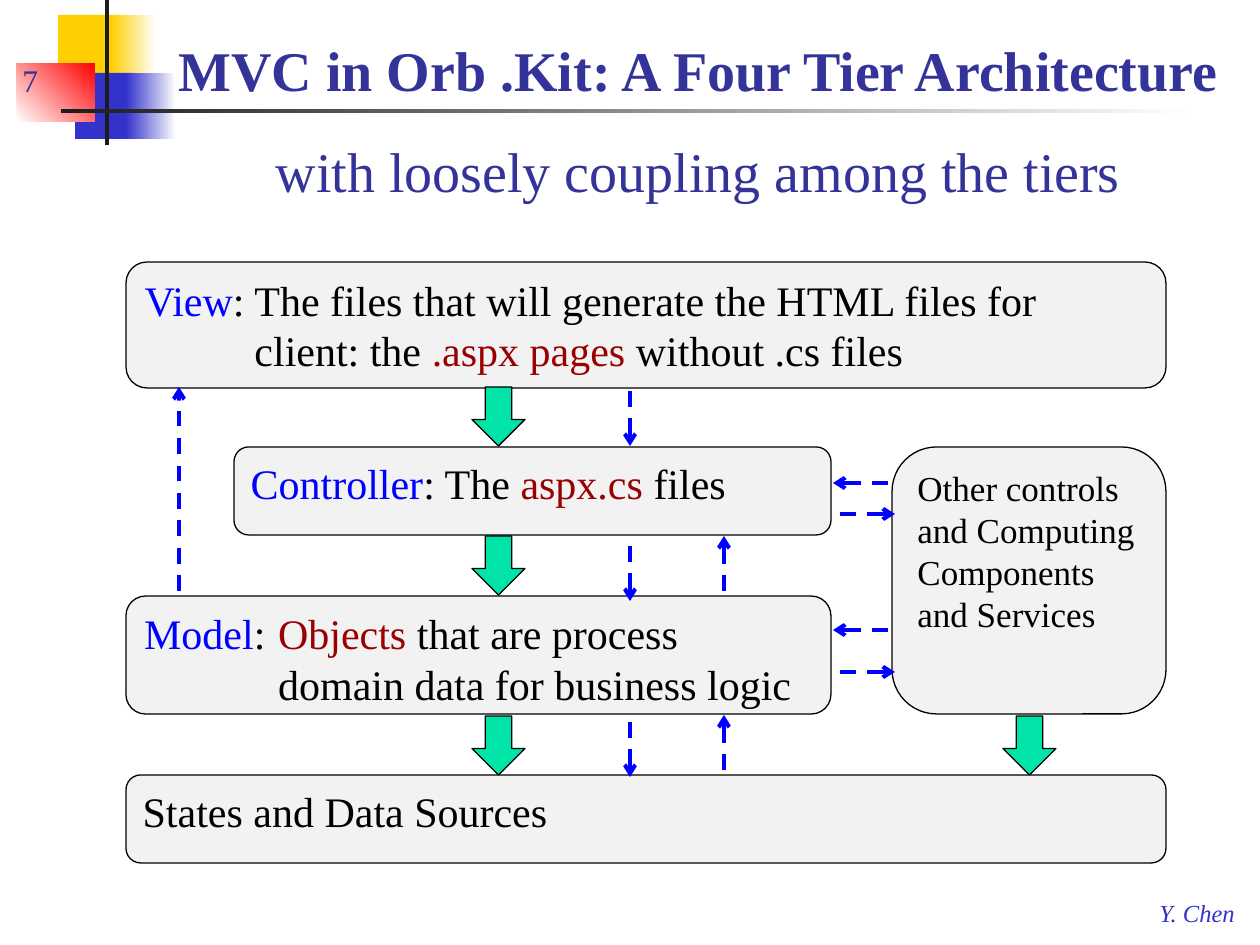
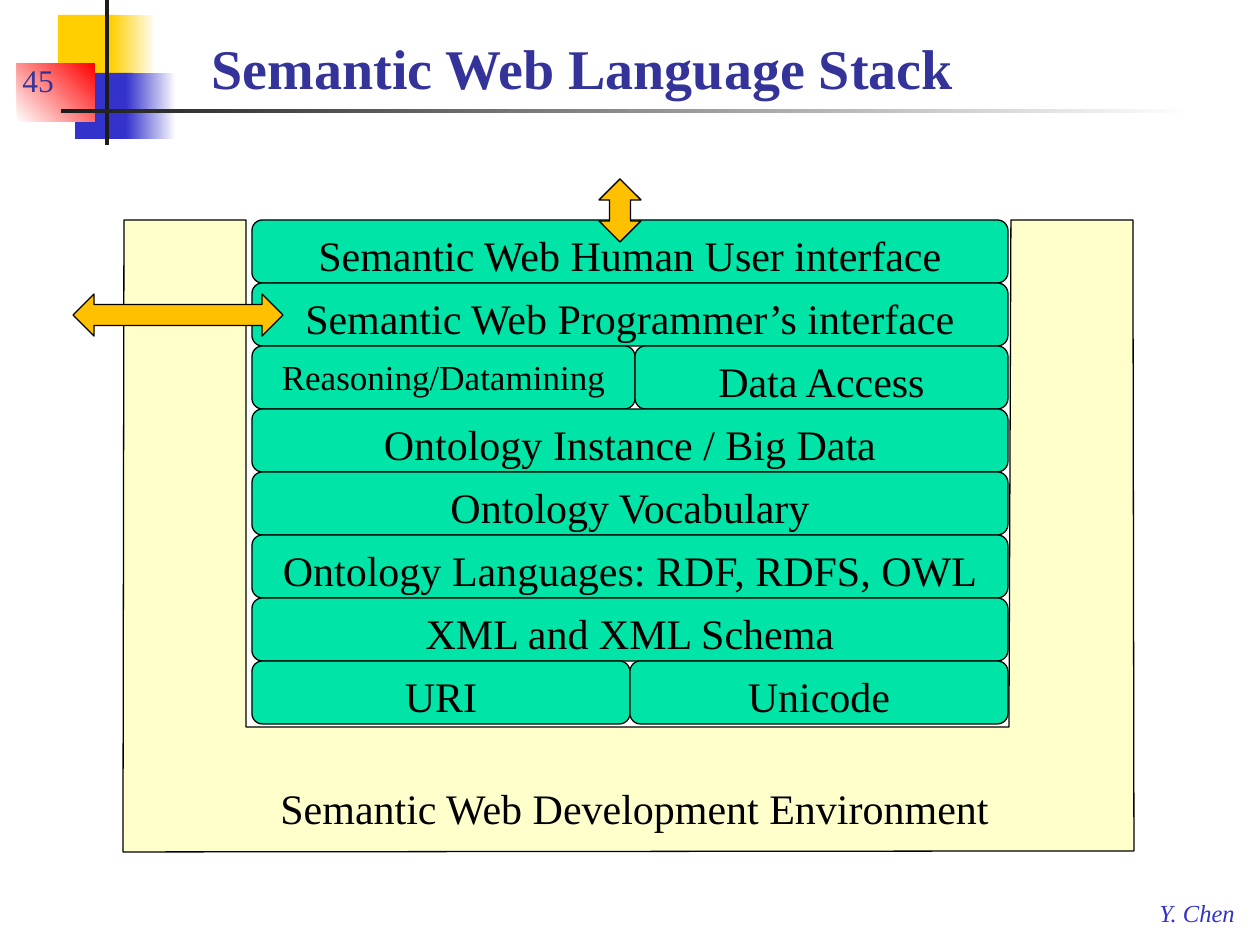
import pptx
import pptx.util
import pptx.dml.color
import pptx.enum.dml
import pptx.enum.shapes
import pptx.enum.text
import pptx.oxml
from dataclasses import dataclass
from lxml import etree

PX = 914400 / 126
SHAPE = pptx.enum.shapes.MSO_SHAPE
ALIGN = pptx.enum.text.PP_ALIGN
ANCHOR = pptx.enum.text.MSO_ANCHOR


@dataclass(frozen=True)
class Theme:
    font: str = "Times New Roman"
    title: str = "333399"
    blue: str = "3333CC"
    yellow: str = "FFCF01"
    red: str = "FF0000"
    white: str = "FFFFFF"
    ink: str = "1C1C1C"
    black: str = "000000"
    term: str = "0000FF"
    accent: str = "990000"
    tier: str = "F2F2F2"
    green: str = "00E4A8"
    cream: str = "FFFFCC"
    orange: str = "FFC000"
    title_size: int = 32
    body_size: int = 24
    small_size: int = 20
    number_size: int = 18
    footer_size: int = 14


THEME = Theme()


def px(value):
    return pptx.util.Emu(round(value * PX))


def box(*lengths):
    return [px(length) for length in lengths]


def rgb(code):
    return pptx.dml.color.RGBColor.from_string(code)


def add_run(paragraph, text, color=THEME.black, size=THEME.body_size, bold=False, italic=False):
    run = paragraph.add_run()
    run.text = text
    font = run.font
    font.name, font.size = THEME.font, pptx.util.Pt(size)
    font.bold, font.italic = bold, italic
    font.color.rgb = rgb(color)


def paint(shape, fill, outline=True):
    shape.shadow.inherit = False
    shape.fill.solid()
    shape.fill.fore_color.rgb = rgb(fill)
    if outline:
        shape.line.color.rgb = rgb(THEME.black)
        shape.line.width = pptx.util.Pt(0.75)
    else:
        shape.line.fill.background()


def add_figure(slide, kind, place, fill, outline=True):
    figure = slide.shapes.add_shape(kind, *box(*place))
    paint(figure, fill, outline)
    return figure


def add_fade(slide, place, start, end, angle=0):
    fade = add_figure(slide, SHAPE.RECTANGLE, place, start, False)
    fade.fill.gradient()
    fade.fill.gradient_angle = angle
    for stop, color in zip(fade.fill.gradient_stops, (start, end)):
        stop.color.rgb = rgb(color)


def add_block(slide, place, fill, runs, size=THEME.body_size, align=ALIGN.LEFT, hang=0):
    block = add_figure(slide, SHAPE.ROUNDED_RECTANGLE, place, fill)
    frame = block.text_frame
    frame.word_wrap = True
    frame.vertical_anchor = ANCHOR.TOP
    paragraph = frame.paragraphs[0]
    paragraph.alignment = align
    if hang:
        properties = paragraph._p.get_or_add_pPr()
        properties.set("marL", str(px(hang)))
        properties.set("indent", str(-px(hang)))
    for text, color in runs:
        add_run(paragraph, text, color, size)


def add_label(slide, place, text, color, size, italic=False, wrap=False, anchor=ANCHOR.TOP):
    frame = slide.shapes.add_textbox(*box(*place)).text_frame
    frame.word_wrap = wrap
    frame.vertical_anchor = anchor
    add_run(frame.paragraphs[0], text, color, size, italic=italic)


def add_call(slide, *ends):
    call = slide.shapes.add_connector(pptx.enum.shapes.MSO_CONNECTOR.STRAIGHT, *box(*ends))
    call.line.color.rgb = rgb(THEME.term)
    call.line.width = pptx.util.Pt(2.25)
    call.line.dash_style = pptx.enum.dml.MSO_LINE.DASH
    tail = etree.SubElement(call.line._get_or_add_ln(), pptx.oxml.ns.qn("a:tailEnd"))
    tail.set("type", "arrow")
    etree.SubElement(call._element.spPr, pptx.oxml.ns.qn("a:effectLst"))


def add_page(deck, number, title_place, title_lines, align=ALIGN.LEFT, spacing=1.0):
    slide = deck.slides.add_slide(deck.slide_layouts[5])
    add_figure(slide, SHAPE.RECTANGLE, (58, 15, 61, 66), THEME.yellow, False)
    add_fade(slide, (111, 15, 45, 66), THEME.yellow, THEME.white)
    add_figure(slide, SHAPE.RECTANGLE, (75, 73, 58, 66), THEME.blue, False)
    add_fade(slide, (126, 73, 50, 66), THEME.blue, THEME.white)
    add_fade(slide, (17, 63, 78, 59), THEME.white, THEME.red, 45)
    add_figure(slide, SHAPE.RECTANGLE, (105, 0, 4, 145), THEME.ink, False)
    add_fade(slide, (61, 109, 1134, 4), THEME.ink, THEME.white)
    add_label(slide, (1147, 892, 103, 42), "Y. Chen", THEME.blue, THEME.footer_size, italic=True)
    add_label(slide, (10, 42, 95, 63), number, THEME.title, THEME.number_size,
              wrap=True, anchor=ANCHOR.BOTTOM)

    title = slide.shapes.title
    title.left, title.top, title.width, title.height = box(*title_place)
    frame = title.text_frame
    frame.auto_size = pptx.enum.text.MSO_AUTO_SIZE.NONE
    frame.word_wrap = True
    frame.vertical_anchor = ANCHOR.BOTTOM
    paragraph = frame.paragraphs[0]
    paragraph.alignment, paragraph.line_spacing = align, spacing
    for index, line in enumerate(title_lines):
        if index:
            paragraph.add_line_break()
        add_run(paragraph, line, THEME.title, THEME.title_size, bold=index == 0)
    return slide


def build_tiers(deck):
    slide = add_page(deck, "7", (147, 0, 1103, 210),
                     ["MVC in Orb .Kit: A Four Tier Architecture",
                      "with loosely coupling among the tiers"], ALIGN.CENTER, 1.5)
    black, term, accent = THEME.black, THEME.term, THEME.accent
    add_block(slide, (126, 262, 1040, 126), THEME.tier,
              [("View", term), (":\tThe files that will generate the HTML files for client: the ", black),
               (".aspx pages ", accent), ("without .cs files", black)], hang=110)
    add_block(slide, (234, 447, 597, 88), THEME.tier,
              [("Controller", term), (": The ", black), ("aspx.cs ", accent), ("files", black)])
    add_block(slide, (126, 596, 705, 118), THEME.tier,
              [("Model", term), (":\t", black), ("Objects ", accent),
               ("that are process domain data for business logic", black)], hang=134)
    add_block(slide, (126, 775, 1040, 88), THEME.tier, [("States and Data Sources", black)])
    add_block(slide, (892, 447, 274, 267), THEME.tier,
              [("Other controls and Computing Components and Services", black)], THEME.small_size)

    for left, top in ((472, 387), (472, 536), (472, 716), (1003, 716)):
        add_figure(slide, SHAPE.DOWN_ARROW, (left, top, 53, 59), THEME.green)

    reach = 55
    add_call(slide, 179, 591, 179, 387)
    for top in (391, 546, 722):
        add_call(slide, 630, top, 630, top + reach)
    for bottom in (591, 770):
        add_call(slide, 724, bottom, 724, bottom - reach)
    for reply, request in ((483, 514), (630, 672)):
        add_call(slide, 888, reply, 888 - reach, reply)
        add_call(slide, 840, request, 840 + reach, request)


def build_stack(deck):
    slide = add_page(deck, "45", (199, 21, 1050, 86), ["Semantic Web Language Stack"])
    left, top, width, layer_height = 252, 220, 756, 63
    layers = [
        ["Semantic Web Human User interface"],
        ["Semantic Web Programmer’s interface"],
        ["Reasoning/Datamining", "Data Access"],
        ["Ontology Instance / Big Data"],
        ["Ontology Vocabulary"],
        ["Ontology Languages: RDF, RDFS, OWL"],
        ["XML and XML Schema"],
        ["URI", "Unicode"],
    ]
    first_widths = {"Reasoning/Datamining": 383, "URI": 378}
    sizes = {"Reasoning/Datamining": THEME.small_size}
    for level, names in enumerate(layers):
        used = 0
        for name in names:
            part = first_widths.get(name, width - used)
            add_block(slide, (left + used, top + level * layer_height, part, layer_height),
                      THEME.green, [(name, THEME.black)],
                      sizes.get(name, THEME.body_size), ALIGN.CENTER)
            used += part

    outline = [(246, 220), (246, 727), (1009, 727), (1011, 220),
               (1133, 220), (1134, 851), (123, 852), (124, 220)]
    builder = slide.shapes.build_freeform(*outline[0], scale=PX)
    builder.add_line_segments(outline[1:], close=True)
    paint(builder.convert_to_shape(), THEME.cream)
    add_label(slide, (268, 776, 740, 64), "Semantic Web Development Environment",
              THEME.black, THEME.body_size)

    add_figure(slide, SHAPE.LEFT_RIGHT_ARROW, (73, 294, 210, 42), THEME.orange)
    add_figure(slide, SHAPE.UP_DOWN_ARROW, (599, 179, 42, 63), THEME.orange)


def main():
    deck = pptx.Presentation()
    deck.slide_width, deck.slide_height = box(1260, 945)
    build_tiers(deck)
    build_stack(deck)
    deck.save("out.pptx")


if __name__ == "__main__":
    main()
